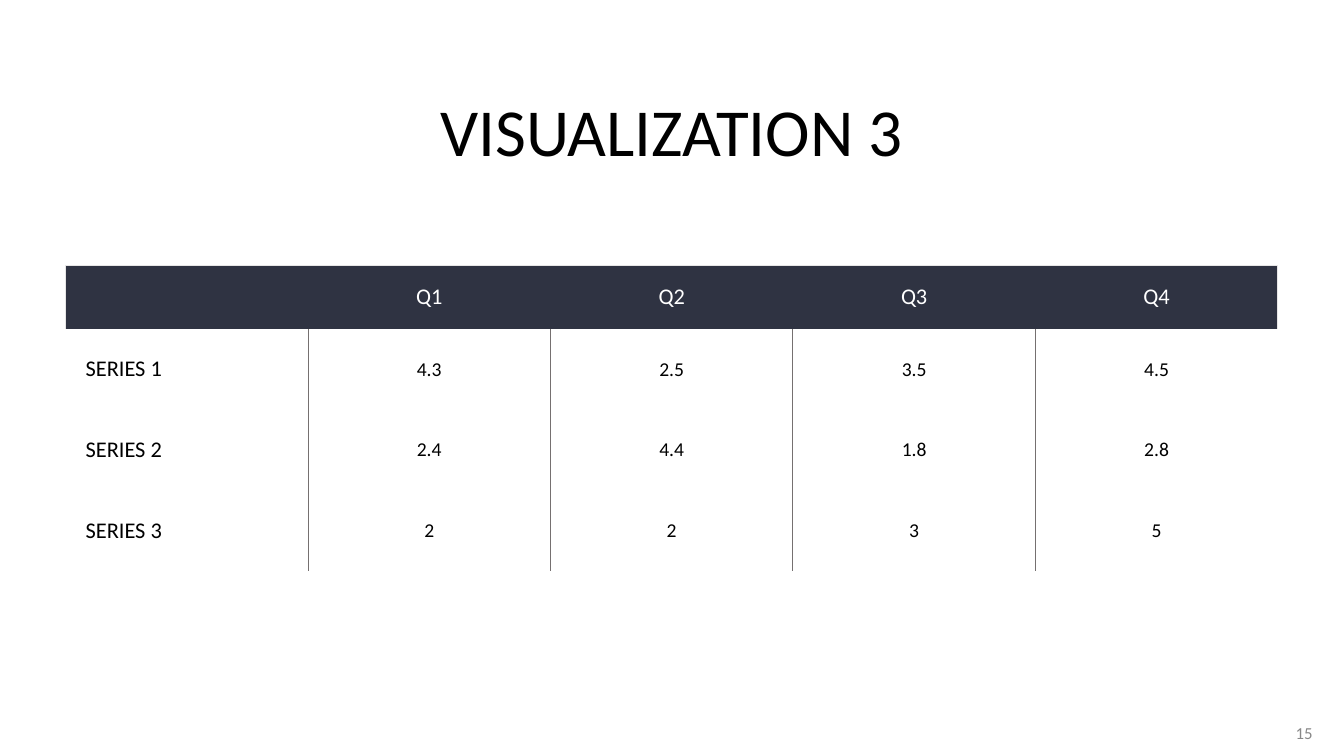
from dataclasses import dataclass

from lxml import etree
from pptx import Presentation
from pptx.dml import color as dml
from pptx.enum import text as enum
from pptx.oxml import ns
from pptx.util import Pt

ALIGN = enum.PP_ALIGN
MIDDLE = enum.MSO_ANCHOR.MIDDLE


@dataclass(frozen=True)
class Theme:
    font: str = "Calibri"
    black: str = "000000"
    white: str = "FFFFFF"
    navy: str = "2F3342"
    gray: str = "888888"
    rule: str = "757070"
    edge: str = "E7E6E6"
    title: float = 48
    label: float = 16
    value: float = 14
    number: float = 12


@dataclass(frozen=True)
class Style:
    size: float
    color: str
    align: ALIGN


@dataclass(frozen=True)
class Label:
    words: str
    left: float
    top: float
    width: float
    height: float
    style: Style


THEME = Theme()
HEAD = Style(THEME.label, THEME.white, ALIGN.CENTER)
SERIES = Style(THEME.label, THEME.black, ALIGN.LEFT)
VALUE = Style(THEME.value, THEME.black, ALIGN.CENTER)

LABELS = [
    Label("VISUALIZATION 3", 46.8, 60.5, 866.2, 64.8,
          Style(THEME.title, THEME.black, ALIGN.CENTER)),
    Label("15", 909.4, 509, 35.3, 28.8,
          Style(THEME.number, THEME.gray, ALIGN.RIGHT)),
]
ROWS = [
    ["", "Q1", "Q2", "Q3", "Q4"],
    ["SERIES 1", "4.3", "2.5", "3.5", "4.5"],
    ["SERIES 2", "2.4", "4.4", "1.8", "2.8"],
    ["SERIES 3", "2", "2", "3", "5"],
]
LEFT, TOP, WIDE = 46.8, 189.6, 173.2
HIGH = [45.4, 57.6, 57.6, 57.6]


def write(frame, words: str, style: Style) -> None:
    frame.text = words
    line = frame.paragraphs[0]
    line.alignment = style.align
    for font in [line.font] + [run.font for run in line.runs]:
        font.name = THEME.font
        font.size = Pt(style.size)
        font.color.rgb = dml.RGBColor.from_string(style.color)


def place(slide, label: Label) -> None:
    box = slide.shapes.add_textbox(
        Pt(label.left), Pt(label.top), Pt(label.width), Pt(label.height))
    frame = box.text_frame
    frame.word_wrap = True
    frame.vertical_anchor = MIDDLE
    write(frame, label.words, label.style)


def border(cell, sides: dict[str, str]) -> None:
    props = cell._tc.get_or_add_tcPr()
    for spot, side in enumerate("LRTB"):
        line = etree.Element(ns.qn(f"a:ln{side}"), w=str(Pt(0.75)))
        if side in sides:
            fill = etree.SubElement(line, ns.qn("a:solidFill"))
            etree.SubElement(fill, ns.qn("a:srgbClr"), val=sides[side])
        else:
            etree.SubElement(line, ns.qn("a:noFill"))
        props.insert(spot, line)


def edges(row: int, col: int, last: int) -> dict[str, str]:
    sides = {}
    if row == 0:
        sides["T"] = THEME.edge
        if col == 0:
            sides["L"] = THEME.edge
        if col == last:
            sides["R"] = THEME.edge
    else:
        if col > 0:
            sides["L"] = THEME.rule
        if col < last:
            sides["R"] = THEME.rule
    return sides


def grid(slide) -> None:
    count = len(ROWS[0])
    table = slide.shapes.add_table(
        len(ROWS), count, Pt(LEFT), Pt(TOP),
        Pt(WIDE * count), Pt(sum(HIGH))).table
    table.first_row = True
    table.horz_banding = False
    for column in table.columns:
        column.width = Pt(WIDE)
    for row, words in enumerate(ROWS):
        table.rows[row].height = Pt(HIGH[row])
        for col, word in enumerate(words):
            cell = table.cell(row, col)
            cell.vertical_anchor = MIDDLE
            style = HEAD if row == 0 else SERIES if col == 0 else VALUE
            write(cell.text_frame, word, style)
            for run in cell.text_frame.paragraphs[0].runs:
                run.font.bold = False
            if style is SERIES:
                cell.margin_left = Pt(14.4)
            if row == 0:
                cell.fill.solid()
                cell.fill.fore_color.rgb = dml.RGBColor.from_string(THEME.navy)
            else:
                cell.fill.background()
            border(cell, edges(row, col, count - 1))


def main() -> None:
    deck = Presentation()
    deck.slide_width, deck.slide_height = Pt(960), Pt(540)
    slide = deck.slides.add_slide(deck.slide_layouts[6])
    grid(slide)
    for label in LABELS:
        place(slide, label)
    deck.save("out.pptx")


if __name__ == "__main__":
    main()
